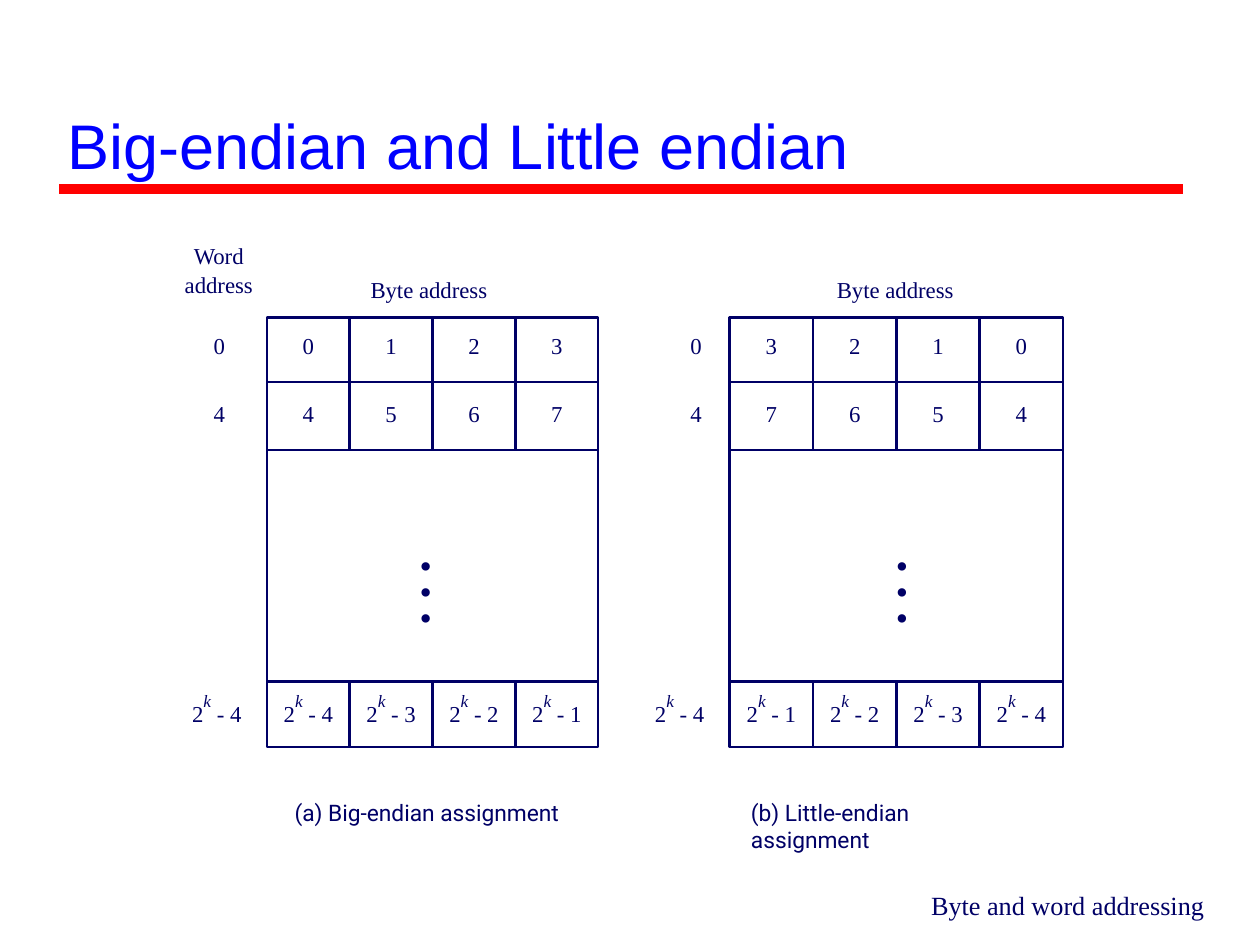
from lxml.etree import SubElement
from pptx import Presentation
from pptx.dml.color import RGBColor
from pptx.enum.shapes import MSO_CONNECTOR, MSO_SHAPE
from pptx.enum.text import MSO_ANCHOR, PP_ALIGN
from pptx.oxml.ns import qn
from pptx.util import Cm, Pt

# Content: lengths in cm
TITLE = "Big-endian and Little endian"
FOOT = "Byte and word addressing"
HEAD = "Word\naddress"
DOTS = "•\n•\n•"
WORDS = ["0", "4", "2^k - 4"]
MAPS = [
    dict(left=5.38, step=1.67, marks=[4.42, 4.42, 4.37], head=7.47, dots=8.46,
         note=("(a) Big-endian assignment", 5.94, 5.7),
         rows=[["0", "1", "2", "3"], ["4", "5", "6", "7"],
               ["2^k - 4", "2^k - 3", "2^k - 2", "2^k - 1"]]),
    dict(left=14.71, step=1.68, marks=[14.03, 14.03, 13.7], head=16.87, dots=18.06,
         note=("(b) Little-endian assignment", 15.14, 5.1),
         rows=[["3", "2", "1", "0"], ["7", "6", "5", "4"],
               ["2^k - 1", "2^k - 2", "2^k - 3", "2^k - 4"]]),
]

# Row borders and the foot of the text in each row
TOP, MID, LOW, GAP, END = 6.4, 7.7, 9.07, 13.74, 15.06
FEET = [7.24, 8.61, 14.68]
COLS = 4


class Theme:
    ink = RGBColor(0x00, 0x00, 0x66)
    blue = RGBColor(0x00, 0x00, 0xFF)
    red = RGBColor(0xFF, 0x00, 0x00)
    serif, sans, note = "Times New Roman", "Arial", "Roboto"
    title, foot, body, power, dot = 36, 15, 13, 17, 20
    thin, thick = 1.5, 6


def put(page, text, x, y, w, h, size=Theme.body, face=Theme.serif, color=Theme.ink,
        align=PP_ALIGN.LEFT, anchor=MSO_ANCHOR.TOP, wrap=False, lead=None, pad=(0, 0)):
    """Add a text box; a letter after ^ is raised and italic."""
    frame = page.shapes.add_textbox(Cm(x), Cm(y), Cm(w), Cm(h)).text_frame
    frame.word_wrap, frame.vertical_anchor = wrap, anchor
    frame.margin_left = frame.margin_right = Cm(pad[0])
    frame.margin_top = frame.margin_bottom = Cm(pad[1])
    for n, line in enumerate(text.split("\n")):
        para = frame.add_paragraph() if n else frame.paragraphs[0]
        para.alignment = align
        if lead:
            para.line_spacing = Pt(lead)
        base, _, rest = line.partition("^")
        for part, high in ((base, False), (rest[:1], True), (rest[1:], False)):
            if not part:
                continue
            run = para.add_run()
            run.text = part
            font = run.font
            font.name, font.size = face, Pt(Theme.power if high else size)
            font.color.rgb = color
            if high:
                font.italic = True
                run._r.get_or_add_rPr().set("baseline", "50000")


def rule(page, x1, y1, x2, y2, color=Theme.ink, width=Theme.thin):
    line = page.shapes.add_connector(
        MSO_CONNECTOR.STRAIGHT, Cm(x1), Cm(y1), Cm(x2), Cm(y2))
    line.line.color.rgb, line.line.width = color, Pt(width)
    SubElement(line._element.spPr, qn("a:effectLst"))


def label(page, text, mid, foot):
    put(page, text, mid - 0.8, foot - 1, 1.6, 1,
        align=PP_ALIGN.CENTER, anchor=MSO_ANCHOR.BOTTOM)


def draw(page, left, step, marks, head, dots, note, rows):
    """Draw one memory map with its labels."""
    right = left + COLS * step

    # Frame and grid
    box = page.shapes.add_shape(
        MSO_SHAPE.RECTANGLE, Cm(left), Cm(TOP), Cm(right - left), Cm(END - TOP))
    box.shadow.inherit = False
    box.fill.background()
    box.line.color.rgb, box.line.width = Theme.ink, Pt(Theme.thin)
    for y in (MID, LOW, GAP):
        rule(page, left, y, right, y)
    for n in range(1, COLS):
        x = left + n * step
        for y1, y2 in ((TOP, LOW), (GAP, END)):
            rule(page, x, y1, x, y2)

    # Word and byte addresses
    for word, mark, row, foot in zip(WORDS, marks, rows, FEET):
        label(page, word, mark, foot)
        for n, cell in enumerate(row):
            label(page, cell, left + (n + 0.5) * step, foot)

    # Heading, dots and caption
    put(page, "Byte address", head, 5.56, 2.7, 0.56)
    put(page, DOTS, dots, 11.28, 0.3, 1.6, size=Theme.dot, lead=14.9)
    text, x, wide = note
    put(page, text, x, 16.1, wide, 0.56, face=Theme.note, wrap=True)


def main():
    deck = Presentation()
    deck.slide_width, deck.slide_height = Cm(25.4), Cm(19.05)
    page = deck.slides.add_slide(deck.slide_layouts[6])

    # Title over its red rule
    rule(page, 1.19, 3.81, 23.85, 3.81, color=Theme.red, width=Theme.thick)
    put(page, TITLE, 1.12, 0.64, 22.78, 3.17, size=Theme.title, face=Theme.sans,
        color=Theme.blue, anchor=MSO_ANCHOR.BOTTOM, wrap=True, pad=(0.25, 0.13))

    # Memory maps
    put(page, HEAD, 3.71, 4.85, 1.4, 1.16, align=PP_ALIGN.CENTER, lead=16.5)
    for item in MAPS:
        draw(page, **item)

    put(page, FOOT, 18.77, 17.93, 6.12, 0.64, size=Theme.foot)
    deck.save("out.pptx")


if __name__ == "__main__":
    main()
